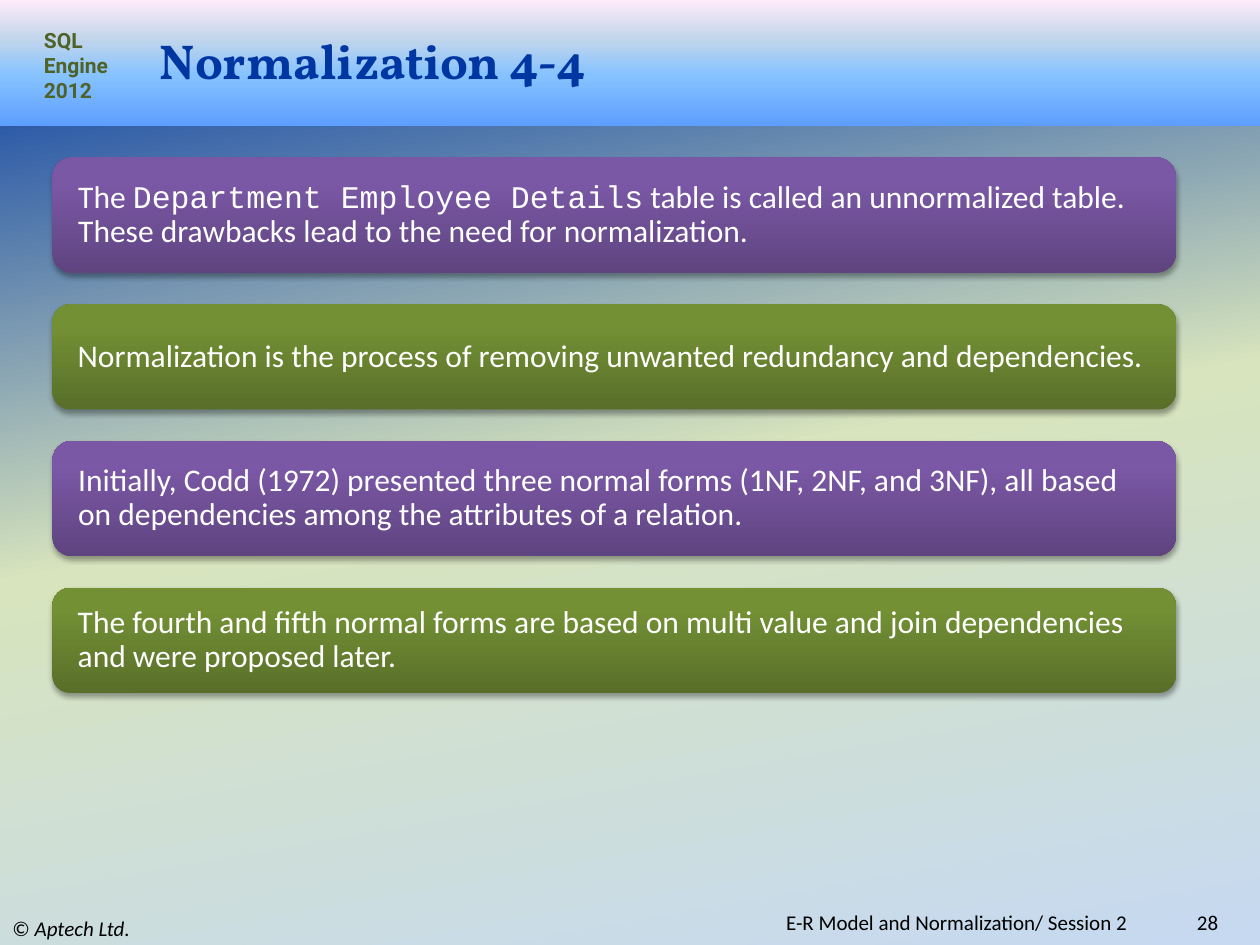
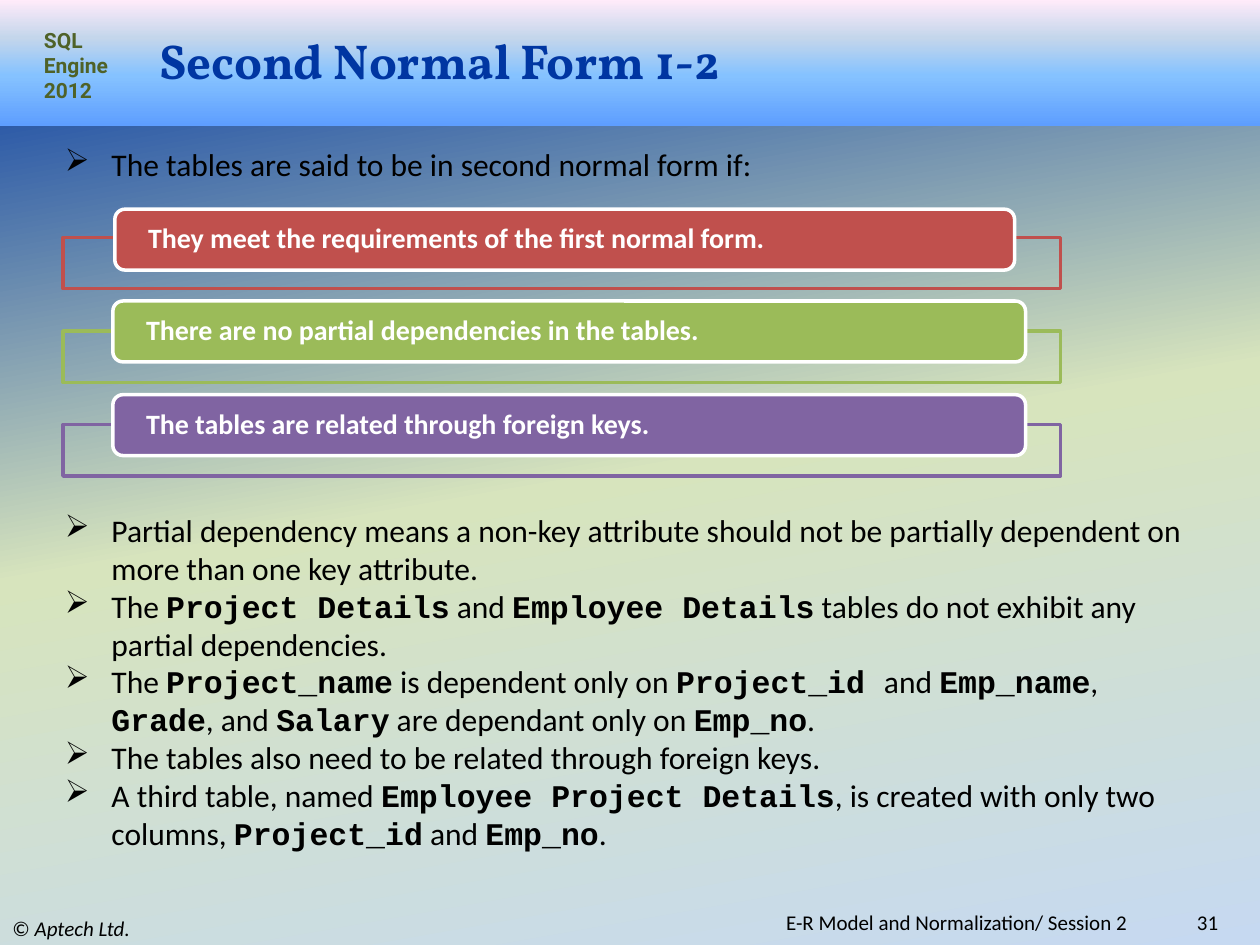
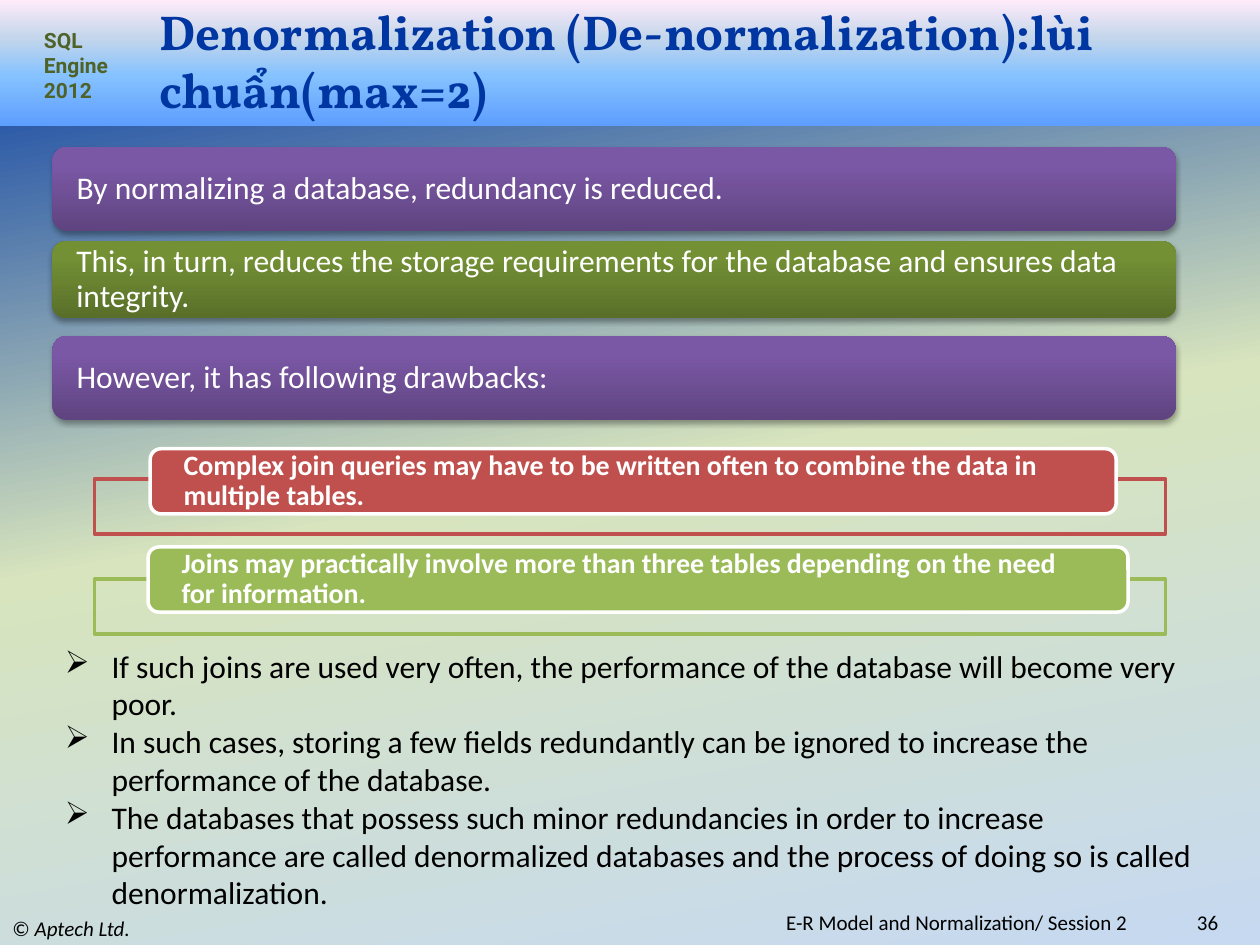
import pptx
import pptx.util
import pptx.dml.color
import pptx.enum.shapes
import pptx.enum.text
import pptx.oxml
import pptx.oxml.ns
import lxml.etree

Tint = pptx.dml.color.RGBColor
Form = pptx.enum.shapes.MSO_SHAPE
Side = pptx.enum.text.PP_ALIGN
Hold = pptx.enum.text.MSO_ANCHOR
tag = pptx.oxml.ns.qn

NAVY = Tint(0x00, 0x36, 0xA2)
BLACK = Tint(0x00, 0x00, 0x00)
WHITE = Tint(0xFF, 0xFF, 0xFF)
MOSS = Tint(0x4F, 0x62, 0x28)
RED = Tint(0xC0, 0x50, 0x4D)
LIME = Tint(0x9B, 0xBB, 0x59)
PLUM = Tint(0x80, 0x64, 0xA2)

SKY = [(0, NAVY), (50, Tint(0xD7, 0xE4, 0xBD)), (100, Tint(0xC6, 0xD9, 0xF1))]
BAND = [(0, Tint(0x5E, 0x9E, 0xFF)), (40, Tint(0x85, 0xC2, 0xFF)),
        (70, Tint(0xC4, 0xD6, 0xEB)), (100, Tint(0xFF, 0xEB, 0xFA))]
GRAPE = [(0, Tint(0x5F, 0x44, 0x80)), (80, Tint(0x7B, 0x58, 0xA6)),
         (100, Tint(0x7C, 0x57, 0xA8))]
LEAF = [(0, Tint(0x59, 0x6F, 0x29)), (80, Tint(0x73, 0x90, 0x35)),
        (100, Tint(0x74, 0x93, 0x34))]

COLS, ROWS = 120, 90
CELL = pptx.util.Inches(10) // COLS
CODE = {"font": "Courier New", "bold": True}
FOOT = 86.76


def cells(*spans):
    return [round(span * CELL) for span in spans]


def blend(host, fill, stops, turn):
    fill.gradient()
    fill.gradient_angle = turn
    chain = next(host.iter(tag("a:gsLst")))
    chain.clear()
    for spot, tint in stops:
        stop = lxml.etree.SubElement(chain, tag("a:gs"), pos=str(spot * 1000))
        lxml.etree.SubElement(stop, tag("a:srgbClr"), val=str(tint))


def cast(shape):
    glow = shape.element.spPr.find(tag("a:effectLst"))
    drop = lxml.etree.SubElement(glow, tag("a:outerShdw"), blurRad="39370",
                                 dist="22860", dir="5400000", rotWithShape="0")
    tint = lxml.etree.SubElement(drop, tag("a:srgbClr"), val=str(BLACK))
    lxml.etree.SubElement(tint, tag("a:alpha"), val="35000")


def mark(para):
    props = para._p.get_or_add_pPr()
    dent = pptx.util.Inches(0.37)
    props.set("marL", str(dent))
    props.set("indent", str(-dent))
    lxml.etree.SubElement(props, tag("a:buChar"), char="➢")


def write(frame, *lines, size=18, font="Calibri", tint=BLACK, bold=False, slant=False,
          side=Side.LEFT, hold=Hold.MIDDLE, space=None, pad=None, bullet=False, alt=CODE):
    frame.word_wrap = True
    frame.vertical_anchor = hold
    if pad is not None:
        frame.margin_left = frame.margin_right = pptx.util.Inches(pad)
        frame.margin_top = frame.margin_bottom = 0
    base = {"font": font, "bold": bold, "slant": slant}
    for rank, line in enumerate(lines):
        para = frame.add_paragraph() if rank else frame.paragraphs[0]
        para.alignment = side
        if space:
            para.line_spacing = space
        if bullet:
            mark(para)
        for turn, part in enumerate(line.split("`")):
            if part:
                look = {**base, **alt} if turn % 2 else base
                run = para.add_run()
                run.text = part
                run.font.name = look["font"]
                run.font.bold = look["bold"]
                run.font.italic = look["slant"]
                run.font.size = pptx.util.Pt(size)
                run.font.color.rgb = tint


def label(slide, spot, *lines, **look):
    box = slide.shapes.add_textbox(*cells(*spot))
    write(box.text_frame, *lines, **look)
    return box


def block(slide, form, spot, fill=None, line=None):
    shape = slide.shapes.add_shape(form, *cells(*spot))
    shape.shadow.inherit = False
    if fill is None:
        shape.fill.background()
    elif isinstance(fill, list):
        blend(shape.element, shape.fill, fill, 90)
    else:
        shape.fill.solid()
        shape.fill.fore_color.rgb = fill
    if line is None:
        shape.line.fill.background()
    else:
        shape.line.color.rgb = line
        shape.line.width = pptx.util.Pt(2)
    return shape


def card(slide, row, tall, fill, text):
    shape = block(slide, Form.ROUNDED_RECTANGLE, (5, row, 107, tall), fill)
    cast(shape)
    write(shape.text_frame, text, tint=WHITE, space=0.9, pad=0.16, alt={"font": "Courier New"})


def pills(slide, col, row, wide, step, *texts):
    for rank, (text, tint) in enumerate(zip(texts, (RED, LIME, PLUM))):
        top = row + rank * step
        inset, share, lift = (0.05, 0.915, 0.32) if rank else (0.052, 0.902, 0.3)
        block(slide, Form.RECTANGLE, (col, top, wide, 0.55 * step), line=tint)
        spot = (col + inset * wide, top - lift * step, share * wide, 0.65 * step)
        pill = block(slide, Form.ROUNDED_RECTANGLE, spot, tint, WHITE)
        write(pill.text_frame, text, size=16, tint=WHITE, bold=True, space=0.9, pad=0.24)


def points(slide, row, tall, *lines, wide=109):
    label(slide, (5, row, wide, tall), *lines, hold=Hold.TOP, bullet=True)


def adorn(slide):
    layout = slide.slide_layout
    master = layout.slide_master
    blend(master.element, master.background.fill, SKY, 280)
    parts = [
        block(slide, Form.RECTANGLE, (0, 0, COLS, 12), BAND),
        label(slide, (0, FOOT, 40, ROWS - FOOT), "© `Aptech Ltd.`", size=12,
              alt={"slant": True}),
        label(slide, (3, 2, 9, 8.5), "SQL Engine 2012", size=12, font="Roboto",
              tint=MOSS, bold=True, hold=Hold.TOP),
    ]
    for part in parts:
        layout.shapes.element.append(part.element)


def start(deck, title, page):
    slide = deck.slides.add_slide(deck.slide_layouts[5])
    head = slide.shapes.title
    head.left, head.top, head.width, head.height = cells(14, 3, 100, 5.4)
    write(head.text_frame, title, size=28, font="Vollkorn", tint=NAVY, bold=True)
    head.text_frame.auto_size = pptx.enum.text.MSO_AUTO_SIZE.NONE
    label(slide, (30, FOOT, 79, 2.2), "E-R Model and Normalization/ Session 2 ",
          size=12, side=Side.RIGHT)
    label(slide, (107, FOOT, 10.2, 2.2), str(page), size=12, side=Side.RIGHT)
    return slide


def needs(deck):
    slide = start(deck, "Normalization 4-4", 28)
    adorn(slide)
    row = 15
    for tall, fill, text in (
        (11, GRAPE, "The `Department Employee Details` table is called an unnormalized table. "
                    "These drawbacks lead to the need for normalization."),
        (10, LEAF, "Normalization is the process of removing unwanted redundancy "
                   "and dependencies."),
        (11, GRAPE, "Initially, Codd (1972) presented three normal forms (1NF, 2NF, and 3NF), "
                    "all based on dependencies among the attributes of a relation."),
        (10, LEAF, "The fourth and fifth normal forms are based on multi value and join "
                   "dependencies and were proposed later."),
    ):
        card(slide, row, tall, fill, text)
        row += tall + 3


def second(deck):
    slide = start(deck, "Second Normal Form 1-2", 31)
    points(slide, 13.2, 4.8, "The tables are said to be in second normal form if:")
    pills(slide, 6, 22.6, 95, 8.92,
          "They meet the requirements of the first normal form.",
          "There are no partial dependencies in the tables.",
          "The tables are related through foreign keys.")
    points(slide, 48.1, 34,
           "Partial dependency means a non-key attribute should not be partially dependent on "
           "more than one key attribute.",
           "The `Project Details` and `Employee Details` tables do not exhibit any "
           "partial dependencies.",
           "The `Project_name` is dependent only on `Project_id `and `Emp_name`, `Grade`, "
           "and `Salary` are dependant only on `Emp_no`.",
           "The tables also need to be related through foreign keys.",
           "A third table, named `Employee Project Details`, is created with only two columns, "
           "`Project_id` and `Emp_no`.")


def reverse(deck):
    slide = start(deck, "Denormalization (De-normalization):lùi chuẩn(max=2)", 36)
    for rank, (tall, fill, text) in enumerate((
        (8, GRAPE, "By normalizing a database, redundancy is reduced."),
        (7.3, LEAF, "This, in turn, reduces the storage requirements for the database "
                    "and ensures data integrity."),
        (8, GRAPE, "However, it has following drawbacks:"),
    )):
        card(slide, 14 + 9 * rank, tall, fill, text)
    pills(slide, 9, 45.6, 102, 9.55,
          "Complex join queries may have to be written often to combine the data in "
          "multiple tables.",
          "Joins may practically involve more than three tables depending on the need for "
          "information.")
    points(slide, 61, 26.6,
           "If such joins are used very often, the performance of the database will become "
           "very poor.",
           "In such cases, storing a few fields redundantly can be ignored to increase the "
           "performance of the database.",
           "The databases that possess such minor redundancies in order to increase performance "
           "are called denormalized databases and the process of doing so is called "
           "denormalization.", wide=110)


def main():
    deck = pptx.Presentation()
    deck.slide_width, deck.slide_height = cells(COLS, ROWS)
    needs(deck)
    second(deck)
    reverse(deck)
    deck.save("out.pptx")


if __name__ == "__main__":
    main()
